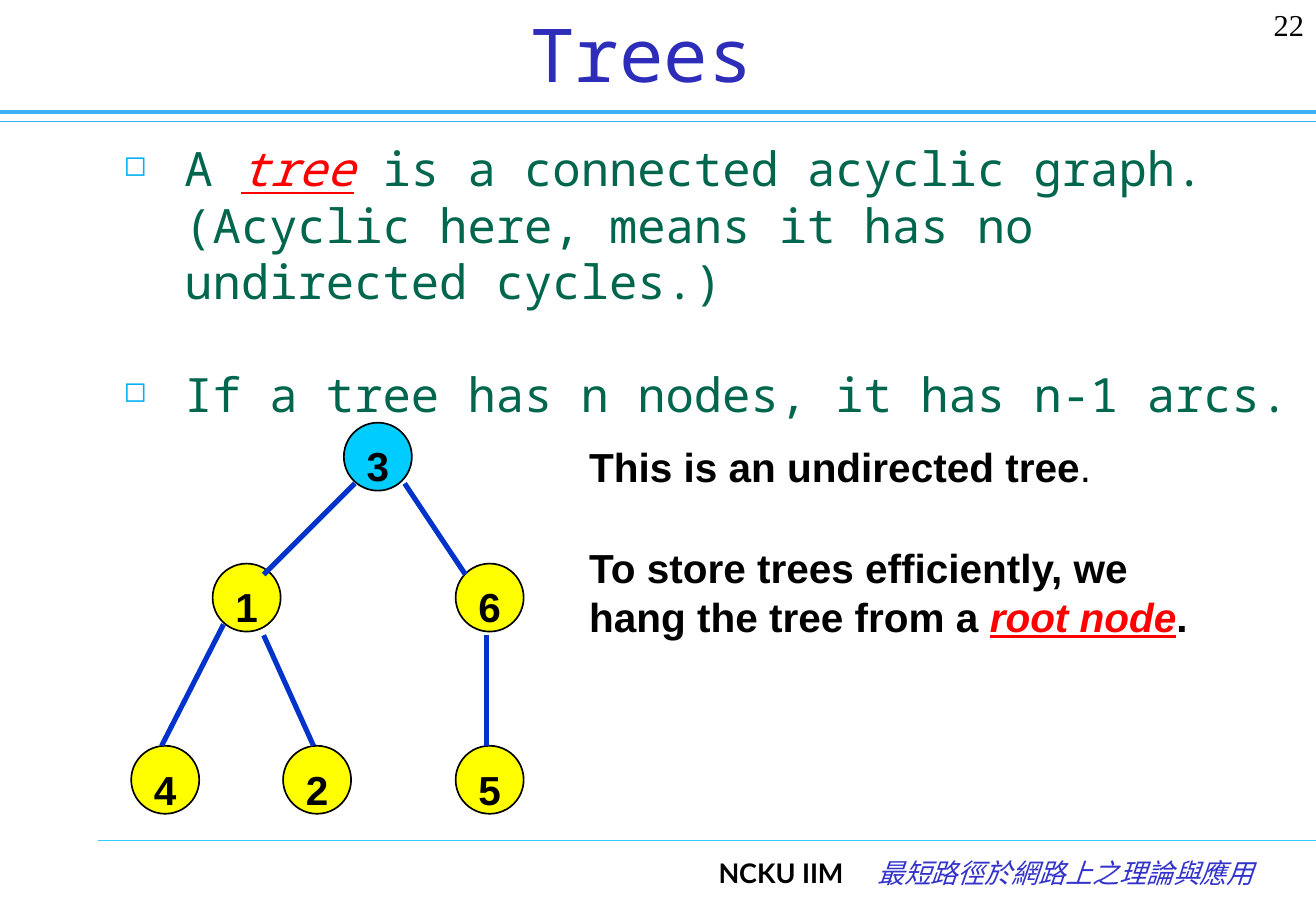
from dataclasses import dataclass

from lxml.etree import SubElement
from pptx import Presentation
from pptx.dml.color import RGBColor
from pptx.enum.shapes import MSO_CONNECTOR, MSO_SHAPE
from pptx.enum.text import MSO_ANCHOR, PP_ALIGN
from pptx.oxml.ns import qn
from pptx.util import Inches, Pt


@dataclass(frozen=True)
class Theme:
    mono: str = "Noto Sans Mono"
    sans: str = "Arial"
    serif: str = "Times New Roman"
    footer_font: str = "Lato"
    title_size: float = 44
    body_size: float = 28
    body_pitch: float = 33.5
    note_size: float = 24
    number_size: float = 18
    footer_size: float = 16
    ink: str = "000000"
    title: str = "2D2DB9"
    body: str = "00664D"
    key: str = "FF0000"
    bullet: str = "00B0F0"
    header_rule: str = "3DB0FF"
    footer_rule: str = "33CCFF"
    course: str = "3333CC"
    root: str = "00CCFF"
    node: str = "FFFF00"
    edge: str = "0033CC"


THEME = Theme()
NODE_SIZE = 0.56

# Node label: left and top within the tree's box
NODES = {"1": (0.67, 1.16), "2": (1.25, 2.66), "6": (2.67, 1.16),
         "5": (2.67, 2.66), "4": (0, 2.66), "3": (1.75, 0)}
ROOT = "3"

# Attachment points, measured from a node's left top corner
PORTS = {"top": (0.25, 0), "top left": (0.08, 0.09), "top right": (0.42, 0.09),
         "left": (0.09, 0.5), "right": (0.5, 0.5),
         "bottom": (0.25, 0.59), "bottom right": (0.42, 0.59)}
EDGES = [("3", "left", "1", "top right"), ("3", "right", "6", "top left"),
         ("1", "left", "4", "top"), ("1", "bottom right", "2", "top"),
         ("6", "bottom", "5", "top")]


def add_run(paragraph, text, font, size, color, bold=False, key=False):
    """Add a run; a key term is red, italic and underlined."""
    run = paragraph.add_run()
    run.text = text
    run.font.name = font
    run.font.size = Pt(size)
    run.font.bold = bold
    run.font.italic = run.font.underline = key
    run.font.color.rgb = RGBColor.from_string(THEME.key if key else color)
    return run


def add_frame(slide, left, top, width, height, align=PP_ALIGN.LEFT, inset_top=0.05):
    """Add a wrapping text box and return its text frame."""
    frame = slide.shapes.add_textbox(*map(Inches, (left, top, width, height))).text_frame
    frame.word_wrap = True
    frame.margin_top = Inches(inset_top)
    frame.paragraphs[0].alignment = align
    return frame


def add_line(slide, start, end, color, weight):
    line = slide.shapes.add_connector(MSO_CONNECTOR.STRAIGHT, *map(Inches, (*start, *end)))
    line.line.color.rgb = RGBColor.from_string(color)
    line.line.width = Pt(weight)
    SubElement(line._element.spPr, qn("a:effectLst"))


def add_bullet(paragraph):
    props = paragraph._p.get_or_add_pPr()
    props.set("marL", str(Inches(0.5)))
    props.set("indent", str(-Inches(0.5)))
    color = SubElement(props, qn("a:buClr"))
    SubElement(color, qn("a:srgbClr"), val=THEME.bullet)
    SubElement(props, qn("a:buSzPct"), val="60000")
    SubElement(props, qn("a:buChar"), char="◻")


def add_header(slide, left, top, width):
    for offset, weight in ((1, 0.75), (0.92, 2.5)):
        add_line(slide, (left, top + offset), (left + width, top + offset),
                 THEME.header_rule, weight)
    number = add_frame(slide, left + width - 0.9, top, 0.9, 0.5, PP_ALIGN.RIGHT)
    add_run(number.paragraphs[0], "22", THEME.serif, THEME.number_size, THEME.ink)
    title = add_frame(slide, left + 0.29, top, 9.98, 0.87, PP_ALIGN.CENTER)
    title.vertical_anchor = MSO_ANCHOR.MIDDLE
    add_run(title.paragraphs[0], "Trees", THEME.mono, THEME.title_size, THEME.title)


def add_footer(slide, left, top, width):
    add_line(slide, (left, top), (left + width, top), THEME.footer_rule, 0.75)
    school = add_frame(slide, left + 4.23, top + 0.08, 2, 0.5, PP_ALIGN.RIGHT)
    add_run(school.paragraphs[0], "NCKU IIM", THEME.footer_font, THEME.footer_size,
            THEME.ink, bold=True)
    course = add_frame(slide, left + 6.11, top + 0.08, 3.5, 0.5, PP_ALIGN.RIGHT)
    name = add_run(course.paragraphs[0], "最短路徑於網路上之理論與應用", THEME.mono,
                   THEME.footer_size, THEME.course)
    name.font.italic = True


def add_definitions(slide, left, top, width, height):
    frame = add_frame(slide, left, top, width, height, inset_top=0.1)
    style = (THEME.mono, THEME.body_size, THEME.body)
    definition, arc_count = frame.paragraphs[0], frame.add_paragraph()
    for paragraph in (definition, arc_count):
        paragraph.line_spacing = Pt(THEME.body_pitch)
    arc_count.space_before = Pt(THEME.body_pitch)
    for paragraph in (definition, arc_count):
        add_bullet(paragraph)
    add_run(definition, "A ", *style)
    add_run(definition, "tree", *style, key=True)
    add_run(definition, " is a connected acyclic graph.", *style)
    definition.add_line_break()
    add_run(definition, "(Acyclic here, means it has no undirected cycles.)", *style)
    add_run(arc_count, "If a tree has n nodes, it has n-1 arcs.", *style)


def add_node(slide, left, top, label):
    node = slide.shapes.add_shape(MSO_SHAPE.OVAL, *map(Inches, (left, top, NODE_SIZE, NODE_SIZE)))
    node.shadow.inherit = False
    node.fill.solid()
    node.fill.fore_color.rgb = RGBColor.from_string(THEME.root if label == ROOT else THEME.node)
    node.line.color.rgb = RGBColor.from_string(THEME.ink)
    node.line.width = Pt(1)
    frame = node.text_frame
    frame.word_wrap = False
    frame.vertical_anchor = MSO_ANCHOR.MIDDLE
    frame.margin_left = frame.margin_right = frame.margin_bottom = 0
    frame.margin_top = Inches(0.15)
    frame.paragraphs[0].alignment = PP_ALIGN.CENTER
    add_run(frame.paragraphs[0], label, THEME.sans, THEME.note_size, THEME.ink, bold=True)


def add_tree(slide, left, top):
    """Draw the nodes, then the edges, then the root above them."""
    def port(label, side):
        (x, y), (dx, dy) = NODES[label], PORTS[side]
        return left + x + dx, top + y + dy

    for label, (x, y) in NODES.items():
        if label != ROOT:
            add_node(slide, left + x, top + y, label)
    for parent, exit_side, child, entry_side in EDGES:
        add_line(slide, port(parent, exit_side), port(child, entry_side), THEME.edge, 3)
    root_x, root_y = NODES[ROOT]
    add_node(slide, left + root_x, top + root_y, ROOT)


def add_notes_beside_tree(slide, left, top):
    style = (THEME.sans, THEME.note_size, THEME.ink)
    caption = add_frame(slide, left, top, 4.75, 0.5, inset_top=0.08).paragraphs[0]
    add_run(caption, "This is an undirected tree", *style, bold=True)
    add_run(caption, ".", *style)
    storage = add_frame(slide, left, top + 0.83, 5.25, 0.91, inset_top=0.08).paragraphs[0]
    add_run(storage, "To store trees efficiently, we hang the tree from a ", *style, bold=True)
    add_run(storage, "root node", *style, bold=True, key=True)
    add_run(storage, ".", *style, bold=True)


def main():
    deck = Presentation()
    deck.slide_width, deck.slide_height = Inches(10.83), Inches(7.5)
    slide = deck.slides.add_slide(deck.slide_layouts[6])
    add_footer(slide, 0.81, 6.92, 10.02)
    add_header(slide, 0, 0, 10.83)
    add_definitions(slide, 0.92, 1.05, 9.8, 2.17)
    add_tree(slide, 1.08, 3.48)
    add_notes_beside_tree(slide, 4.75, 3.56)
    deck.save("out.pptx")


if __name__ == "__main__":
    main()
